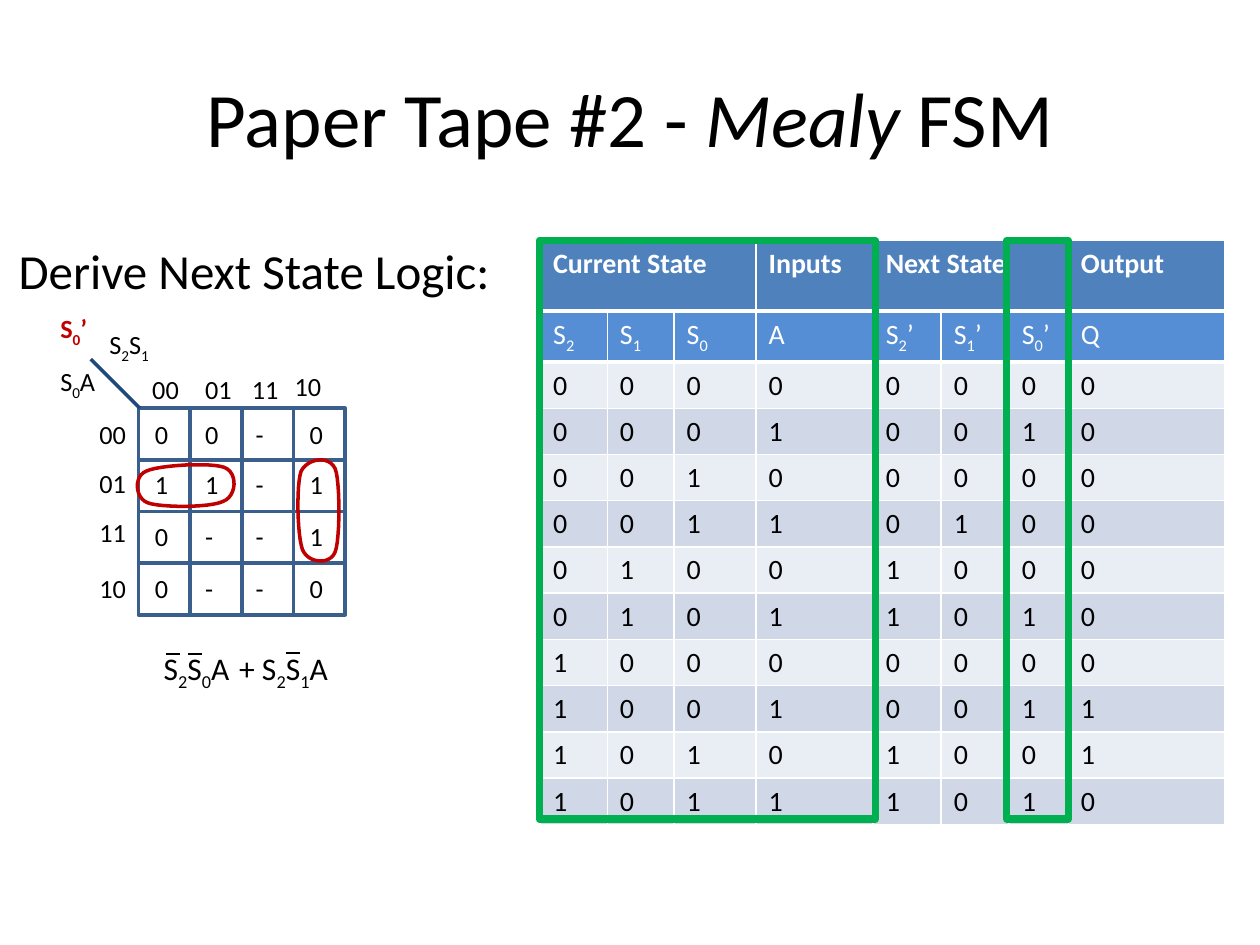
"""Build the Mealy FSM slide: Karnaugh map, derived logic and state table."""
from dataclasses import dataclass

from lxml import etree
from pptx import Presentation
from pptx.dml.color import RGBColor
from pptx.enum.shapes import MSO_CONNECTOR, MSO_SHAPE
from pptx.enum.text import MSO_ANCHOR, MSO_AUTO_SIZE, PP_ALIGN
from pptx.oxml.ns import qn
from pptx.util import Inches, Pt

LINE = MSO_CONNECTOR.STRAIGHT
RECT = MSO_SHAPE.RECTANGLE
GROW = MSO_AUTO_SIZE.SHAPE_TO_FIT_TEXT
MIDDLE = MSO_ANCHOR.MIDDLE
CENTER = PP_ALIGN.CENTER


@dataclass
class Theme:
    font: str = "Calibri"
    title: int = 44
    heading: int = 28
    logic: int = 18
    table: int = 16
    kmap: int = 15
    black: str = "000000"
    white: str = "FFFFFF"
    red: str = "C00000"
    green: str = "00B050"
    navy: str = "1F497D"
    grid: str = "3A5F8C"
    header: str = "4F81BD"
    subheader: str = "558ED5"
    bands: tuple = ("E9EDF4", "D0D8E8")


T = Theme()


def write(p, text, size, color, bold=False):
    p.font.name, p.font.size, p.font.bold = T.font, Pt(size), bold
    p.font.color.rgb = RGBColor.from_string(color)
    plain, *rest = text.split("_")
    pieces = [(plain, False)]
    for part in rest:
        pieces += [(part[0], True), (part[1:], False)]
    for piece, subscript in pieces:
        if piece:
            r = p.add_run()
            r.text = piece
            if subscript:
                r.font._element.set("baseline", "-25000")


def label(x, y, w, text, size=T.kmap, color=T.black, bold=False, wrap=True):
    s = shapes.add_textbox(Inches(x), Inches(y), Inches(w), Inches(size * 0.02 + 0.05))
    tf = s.text_frame
    tf.word_wrap, tf.auto_size = wrap, GROW
    write(tf.paragraphs[0], text, size, color, bold)


prs = Presentation()
prs.slide_width, prs.slide_height = Inches(10), Inches(7.5)
slide = prs.slides.add_slide(prs.slide_layouts[5])
shapes = slide.shapes

s = shapes.title
s.left, s.top, s.width, s.height = (Inches(v) for v in (0.5, 0.3, 9, 1.25))
s.text_frame.vertical_anchor = MIDDLE
p = s.text_frame.paragraphs[0]
p.alignment = CENTER
write(p, "Paper Tape #2 - ", T.title, T.black)
for text, italic in (("Mealy", True), (" FSM", False)):
    r = p.add_run()
    r.text, r.font.italic = text, italic

label(0.05, 1.86, 3.98, "Derive Next State Logic:", T.heading, wrap=False)
label(0.38, 2.43, 0.49, "S_0’", color=T.red, bold=True)
label(0.77, 2.56, 0.72, "S_2S_1")
label(0.38, 2.85, 0.58, "S_0A")

GRID_X, GRID_Y, STEP = 1.1, 3.24, 0.41
codes = ("00", "01", "11", "10")
code_x, code_top = (1.11, 1.53, 1.9, 2.24), (2.91, 2.91, 2.91, 2.89)
code_y = (3.27, 3.66, 4.05, 4.49)
value_x, value_y = (1.13, 1.53, 1.93, 2.36), (3.27, 3.67, 4.08, 4.49)
kmap = ("00-0", "11-1", "0--1", "0--0")

for i, code in enumerate(codes):
    label(code_x[i], code_top[i], 0.48, code)
    label(0.69, code_y[i], 0.48, code)
    for j, value in enumerate(kmap[i]):
        label(value_x[j], value_y[i], 0.45, value)
        s = shapes.add_shape(RECT, Inches(GRID_X + j * STEP), Inches(GRID_Y + i * STEP),
                             Inches(STEP), Inches(STEP))
        s.shadow.inherit = False
        s.fill.background()
        s.line.color.rgb, s.line.width = RGBColor.from_string(T.grid), Pt(2)

loops = (
    ((2.39, 3.74), (2.35, 3.85), (2.36, 4.25), (2.4, 4.36), (2.44, 4.47), (2.62, 4.49), (2.66, 4.38),
     (2.7, 4.28), (2.7, 3.82), (2.66, 3.72), (2.61, 3.61), (2.44, 3.64), (2.39, 3.74)),
    ((1.16, 3.74), (1.26, 3.69), (1.68, 3.67), (1.78, 3.71), (1.89, 3.75), (1.88, 3.94), (1.77, 3.98),
     (1.67, 4.03), (1.27, 4.03), (1.17, 3.99), (1.07, 3.95), (1.06, 3.78), (1.16, 3.74)),
)
for loop in loops:
    points = []
    for k in range(0, len(loop) - 1, 3):
        for t in (n / 12 for n in range(1, 13)):
            weights = ((1 - t) ** 3, 3 * t * (1 - t) ** 2, 3 * t * t * (1 - t), t ** 3)
            points.append([Inches(sum(w * pt[axis] for w, pt in zip(weights, loop[k:k + 4])))
                           for axis in (0, 1)])
    builder = shapes.build_freeform(*points[-1])
    builder.add_line_segments(points, close=True)
    s = builder.convert_to_shape()
    s.shadow.inherit = False
    s.fill.background()
    s.line.color.rgb, s.line.width = RGBColor.from_string(T.red), Pt(2)

label(1.2, 5.1, 1.02, "S_2S_0A", T.logic)
label(1.8, 5.1, 1.02, "+ S_2S_1A", T.logic)
lines = [(GRID_X + 0.01, GRID_Y, 0.72, 2.85, T.navy, 2)]
lines += [(x, y, x + 0.11, y, T.black, 1) for x, y in ((1.32, 5.19), (1.49, 5.19), (2.27, 5.18))]
for x1, y1, x2, y2, color, width in lines:
    s = shapes.add_connector(LINE, Inches(x1), Inches(y1), Inches(x2), Inches(y2))
    s.line.color.rgb, s.line.width = RGBColor.from_string(color), Pt(width)
    etree.SubElement(s._element.spPr, qn("a:effectLst"))

rows = [
    ("Current State", "", "", "Inputs", "Next State", "", "", "Output"),
    ("S_2", "S_1", "S_0", "A", "S_2’", "S_1’", "S_0’", "Q"),
    "00000000", "00010010", "00100000", "00110100", "01001000",
    "01011010", "10000000", "10010011", "10101001", "10111010",
]
widths = (0.53, 0.53, 0.65, 0.93, 0.54, 0.54, 0.47, 1.24)
table = shapes.add_table(len(rows), len(widths), Inches(4.29), Inches(1.91),
                         Inches(sum(widths)), Inches(4.59)).table
for column, width in zip(table.columns, widths):
    column.width = Inches(width)
for first in (0, 4):
    table.cell(0, first).merge(table.cell(0, first + 2))
for i, row in enumerate(rows):
    table.rows[i].height = Inches(0.35 if i else 0.56)
    fill = (T.header, T.subheader)[i] if i < 2 else T.bands[i % 2]
    for j, text in enumerate(row):
        cell = table.cell(i, j)
        cell.fill.solid()
        cell.fill.fore_color.rgb = RGBColor.from_string(fill)
        write(cell.text_frame.paragraphs[0], text, T.table, T.white if i < 2 else T.black, i == 0)
        if i < 2:
            border = etree.Element(qn("a:lnT" if i else "a:lnB"), w=str(Pt(3)))
            solid = etree.SubElement(border, qn("a:solidFill"))
            etree.SubElement(solid, qn("a:srgbClr"), val=T.white)
            cell._tc.get_or_add_tcPr().insert(0, border)

for x, width in ((7.99, 0.49), (4.28, 2.67)):
    s = shapes.add_shape(RECT, Inches(x), Inches(1.91), Inches(width), Inches(4.59))
    s.shadow.inherit = False
    s.fill.background()
    s.line.color.rgb, s.line.width = RGBColor.from_string(T.green), Pt(4.25)

prs.save("out.pptx")
